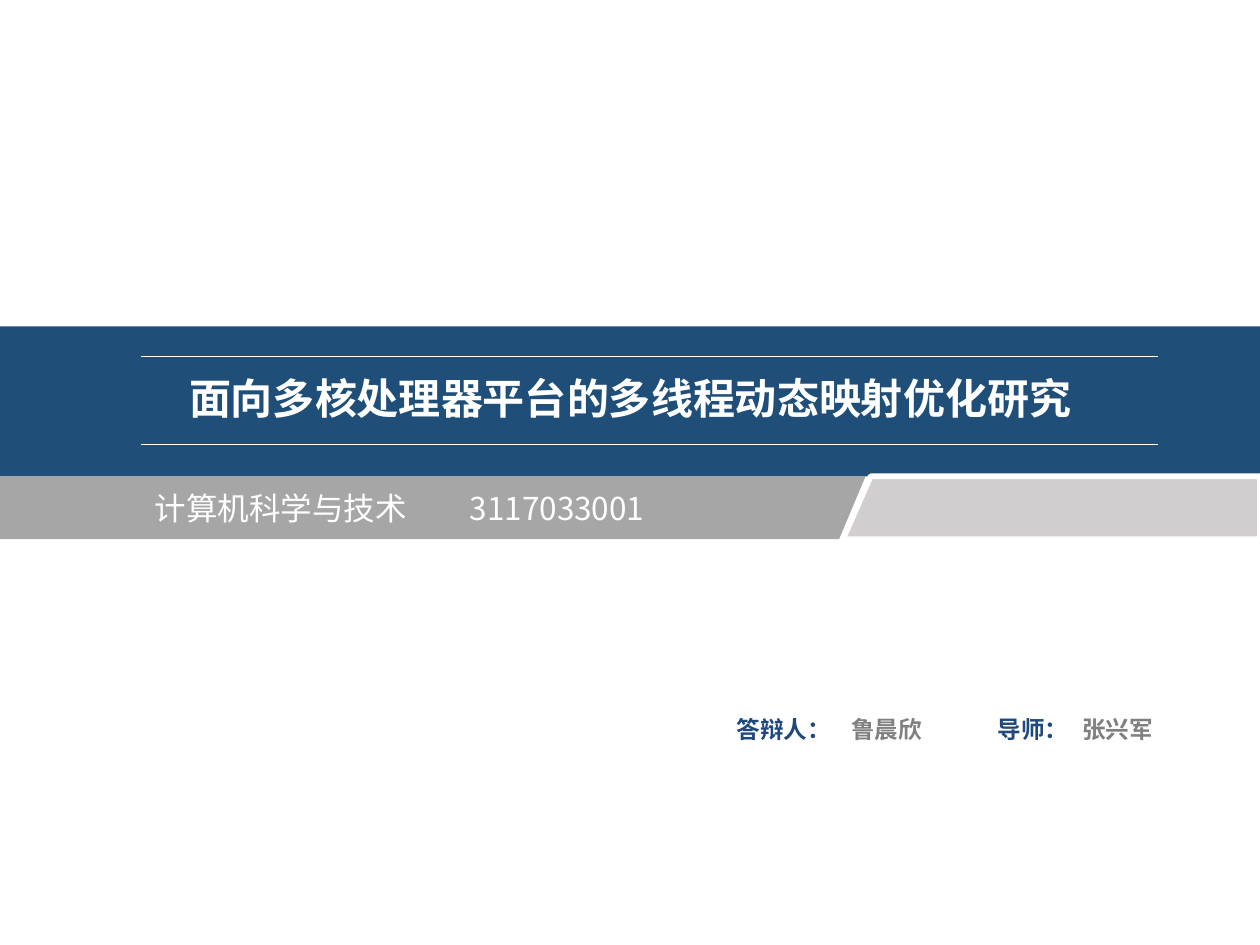
import pptx
import pptx.dml.color
import pptx.enum.shapes
import pptx.enum.text
import pptx.oxml
import pptx.oxml.ns
import pptx.util
from lxml import etree

Inches, Pt = pptx.util.Inches, pptx.util.Pt
ALIGN = pptx.enum.text.PP_ALIGN
qn = pptx.oxml.ns.qn

THEME = {
    "font": "Noto Sans CJK SC",
    "banner": "1F4E79", "strip": "A6A6A6", "tab": "D0CECE",
    "white": "FFFFFF", "label": "1F497D", "name": "808080",
    "title_size": 24, "subtitle_size": 18, "people_size": 13.5,
}

TITLE = "面向多核处理器平台的多线程动态映射优化研究"
MAJOR, STUDENT_ID = "计算机科学与技术", "3117033001"
PEOPLE = [
    (5.75, 0.96, "答辩人：", "label"),
    (6.66, 0.77, "鲁晨欣", "name"),
    (7.82, 0.77, "导师：", "label"),
    (8.49, 0.77, "张兴军", "name"),
]

SLIDE_W, SLIDE_H = 10, 7.5
BANNER_TOP, BANNER_H = 2.59, 1.19
STRIP_TOP, STRIP_BOTTOM = 3.78, 4.28
STRIP = [(0, STRIP_TOP), (6.87, STRIP_TOP), (6.66, STRIP_BOTTOM), (0, STRIP_BOTTOM)]
TAB = [(6.91, STRIP_TOP), (SLIDE_W, STRIP_TOP), (SLIDE_W, STRIP_BOTTOM), (6.69, STRIP_BOTTOM)]
RULES_Y = (2.83, 3.53)
RULE_LEFT, RULE_RIGHT = 1.12, 9.19


def color(key):
    return pptx.dml.color.RGBColor.from_string(THEME[key])


def paint(shape, fill, line=None, width=3.25):
    shape.shadow.inherit = False
    shape.fill.solid()
    shape.fill.fore_color.rgb = color(fill)
    if line:
        shape.line.color.rgb = color(line)
        shape.line.width = Pt(width)
    else:
        shape.line.fill.background()


def polygon(slide, points, fill, line=None):
    corners = [(Inches(x), Inches(y)) for x, y in points]
    builder = slide.shapes.build_freeform(*corners[0])
    builder.add_line_segments(corners[1:], close=True)
    paint(builder.convert_to_shape(), fill, line)


def write(box, text, size, ink, bold=False, align=ALIGN.LEFT, wrap=False, tab=None):
    frame = box.text_frame
    frame.text = text
    frame.word_wrap = wrap
    frame.auto_size = pptx.enum.text.MSO_AUTO_SIZE.NONE
    frame.vertical_anchor = pptx.enum.text.MSO_ANCHOR.MIDDLE
    frame.margin_left = frame.margin_right = Inches(0.1)
    frame.margin_top = frame.margin_bottom = 0
    paragraph = frame.paragraphs[0]
    paragraph.alignment = align
    paragraph.line_spacing = 1.0
    paragraph.space_before = Pt(0)
    if tab:
        stops = etree.SubElement(paragraph._p.get_or_add_pPr(), qn("a:tabLst"))
        etree.SubElement(stops, qn("a:tab"), pos=str(Inches(tab)), algn="l")
    for run in paragraph.runs:
        run.font.size = Pt(THEME[size])
        run.font.bold = bold
        run.font.color.rgb = color(ink)
        run.font.name = THEME["font"]
        etree.SubElement(run._r.get_or_add_rPr(), qn("a:ea"), typeface=THEME["font"])


def text_box(slide, left, top, width, height):
    return slide.shapes.add_textbox(*map(Inches, (left, top, width, height)))


def main():
    deck = pptx.Presentation()
    deck.slide_width, deck.slide_height = Inches(SLIDE_W), Inches(SLIDE_H)
    slide = deck.slides.add_slide(deck.slide_layouts[5])

    banner = slide.shapes.add_shape(
        pptx.enum.shapes.MSO_SHAPE.RECTANGLE,
        0, Inches(BANNER_TOP), Inches(SLIDE_W), Inches(BANNER_H))
    paint(banner, "banner")
    polygon(slide, STRIP, "strip")
    polygon(slide, TAB, "tab", "white")

    title = slide.shapes.title
    title.left, title.top, title.width, title.height = map(Inches, (0.65, 2.91, 8.7, 0.5))
    write(title, TITLE, "title_size", "white", bold=True, align=ALIGN.CENTER, wrap=True)
    slide.shapes._spTree.append(title._element)

    subtitle = text_box(slide, 1.13, 3.83, 4.2, 0.4)
    write(subtitle, f"{MAJOR}\t{STUDENT_ID}", "subtitle_size", "white", wrap=True, tab=2.5)

    for y in RULES_Y:
        rule = slide.shapes.add_connector(
            pptx.enum.shapes.MSO_CONNECTOR.STRAIGHT,
            Inches(RULE_LEFT), Inches(y), Inches(RULE_RIGHT), Inches(y))
        rule.line.color.rgb = color("white")
        rule.line.width = Pt(0.75)
        etree.SubElement(rule._element.spPr, qn("a:effectLst"))

    for left, width, text, ink in PEOPLE:
        write(text_box(slide, left, 5.62, width, 0.33), text, "people_size", ink, bold=True)

    deck.save("out.pptx")


if __name__ == "__main__":
    main()
